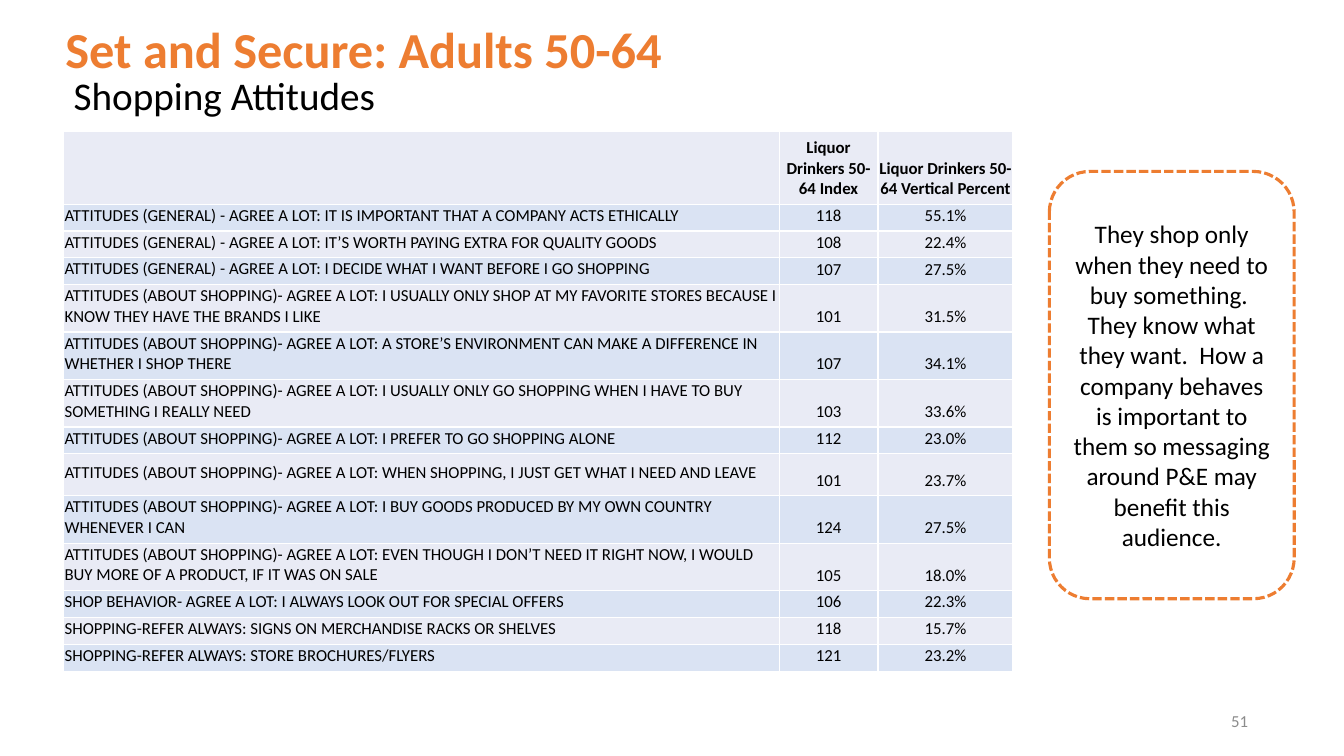
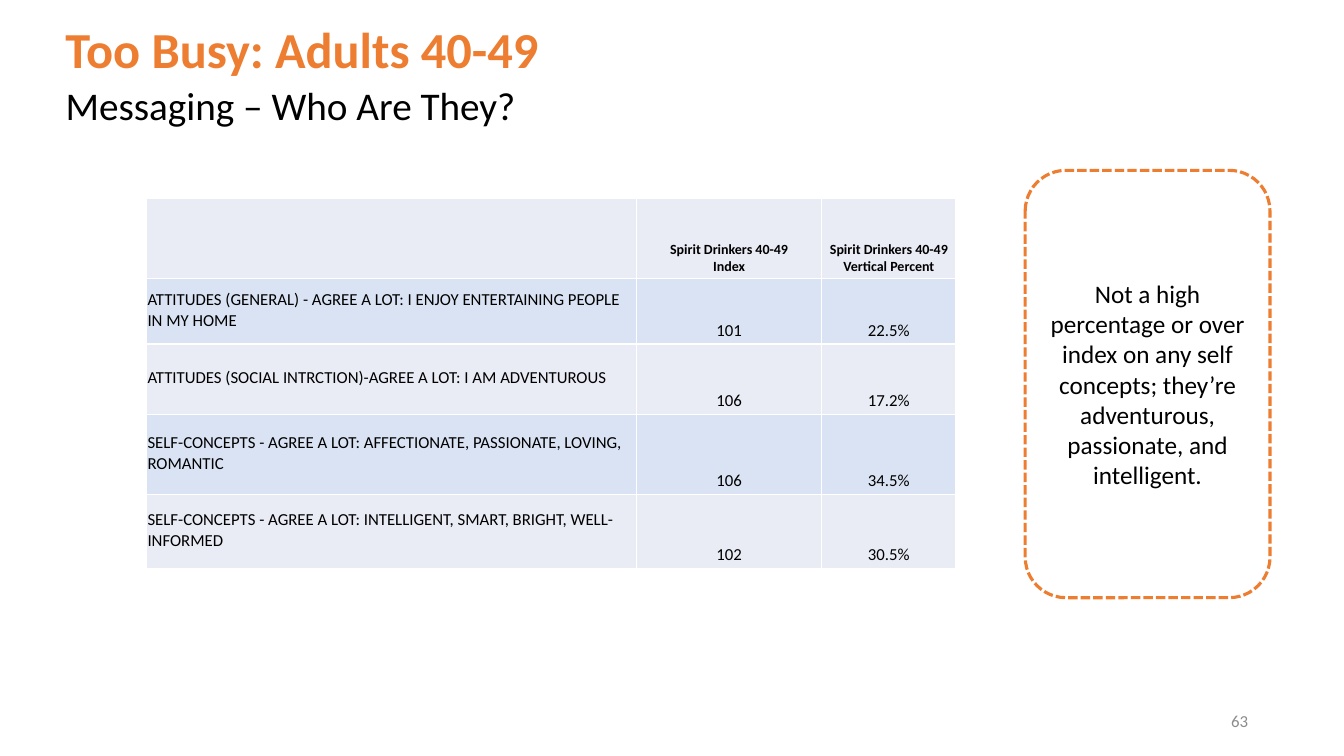
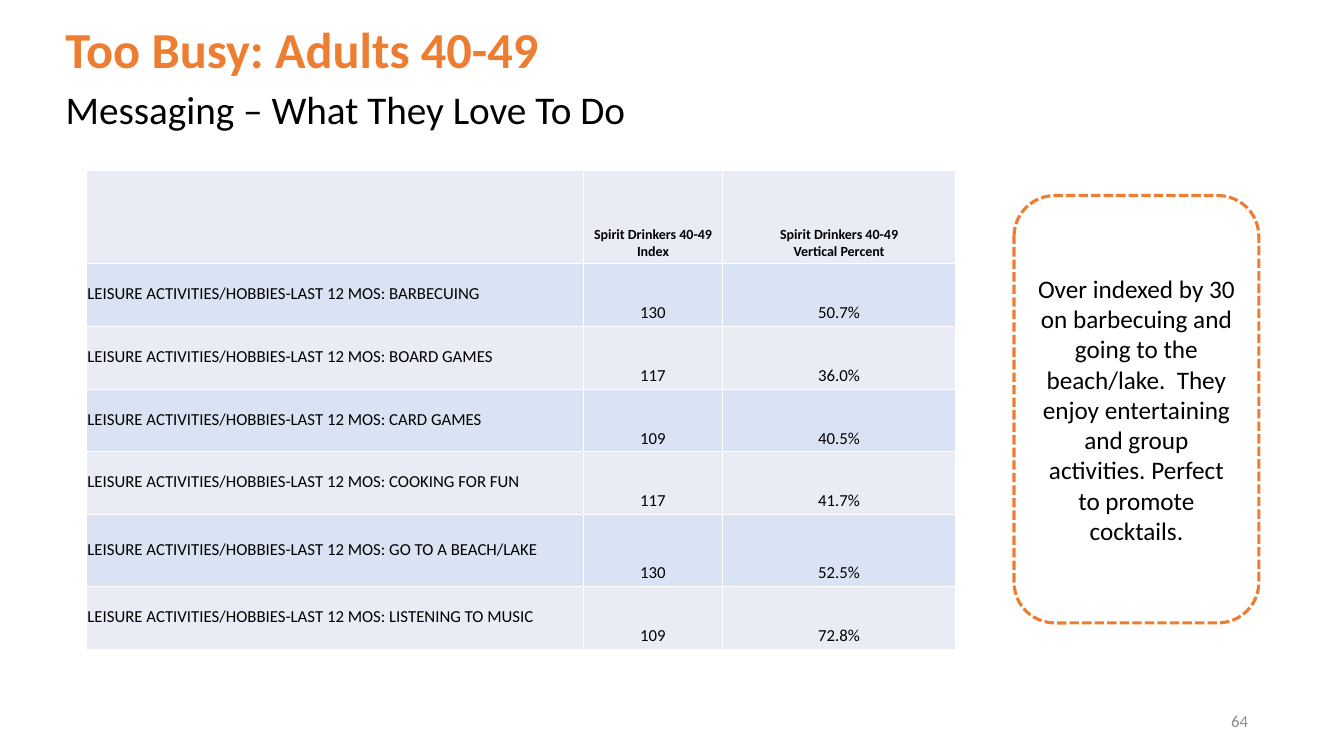
from dataclasses import dataclass

from lxml.etree import SubElement
from pptx import Presentation
from pptx.dml.color import RGBColor
from pptx.enum.dml import MSO_LINE
from pptx.enum.shapes import MSO_SHAPE
from pptx.enum.text import MSO_ANCHOR, MSO_AUTO_SIZE, PP_ALIGN
from pptx.oxml import parse_xml
from pptx.oxml.ns import nsdecls, qn
from pptx.util import Inches, Pt


@dataclass(frozen=True)
class Theme:
    font: str = "Calibri"
    accent: str = "ED7D31"
    text: str = "000000"
    muted: str = "8C8C8C"
    paper: str = "FFFFFF"
    bands: tuple = ("E9EBF5", "DAE3F3")
    segment_size: int = 36
    title_size: int = 28
    callout_size: int = 18
    body_size: int = 12


T = Theme()
WIDTH, HEIGHT = Inches(13.333), Inches(7.5)
MARGIN = 4.13
ONE_LINE, TALL_LINE, TWO_LINES = 3.55, 5.55, 6.28
LEISURE_ROW = 8.3

ATTITUDES = [
    ("ATTITUDES (GENERAL) - AGREE A LOT: IT IS IMPORTANT THAT A COMPANY ACTS ETHICALLY", "118", "55.1%", ONE_LINE),
    ("ATTITUDES (GENERAL) - AGREE A LOT: IT’S WORTH PAYING EXTRA FOR QUALITY GOODS", "108", "22.4%", ONE_LINE),
    ("ATTITUDES (GENERAL) - AGREE A LOT: I DECIDE WHAT I WANT BEFORE I GO SHOPPING", "107", "27.5%", ONE_LINE),
    ("ATTITUDES (ABOUT SHOPPING)- AGREE A LOT: I USUALLY ONLY SHOP AT MY FAVORITE STORES "
     "BECAUSE I KNOW THEY HAVE THE BRANDS I LIKE", "101", "31.5%", TWO_LINES),
    ("ATTITUDES (ABOUT SHOPPING)- AGREE A LOT: A STORE’S ENVIRONMENT CAN MAKE A DIFFERENCE "
     "IN WHETHER I SHOP THERE", "107", "34.1%", TWO_LINES),
    ("ATTITUDES (ABOUT SHOPPING)- AGREE A LOT: I USUALLY ONLY GO SHOPPING WHEN I HAVE TO BUY "
     "SOMETHING I REALLY NEED", "103", "33.6%", TWO_LINES),
    ("ATTITUDES (ABOUT SHOPPING)- AGREE A LOT: I PREFER TO GO SHOPPING ALONE", "112", "23.0%", ONE_LINE),
    ("ATTITUDES (ABOUT SHOPPING)- AGREE A LOT: WHEN SHOPPING, I JUST GET WHAT I NEED AND LEAVE",
     "101", "23.7%", TALL_LINE),
    ("ATTITUDES (ABOUT SHOPPING)- AGREE A LOT: I BUY GOODS PRODUCED BY MY OWN COUNTRY WHENEVER I CAN",
     "124", "27.5%", TWO_LINES),
    ("ATTITUDES (ABOUT SHOPPING)- AGREE A LOT: EVEN THOUGH I DON’T NEED IT RIGHT NOW, I WOULD "
     "BUY MORE OF A PRODUCT, IF IT WAS ON SALE", "105", "18.0%", TWO_LINES),
    ("SHOP BEHAVIOR- AGREE A LOT: I ALWAYS LOOK OUT FOR SPECIAL OFFERS", "106", "22.3%", ONE_LINE),
    ("SHOPPING-REFER ALWAYS: SIGNS ON MERCHANDISE RACKS OR SHELVES", "118", "15.7%", ONE_LINE),
    ("SHOPPING-REFER ALWAYS: STORE BROCHURES/FLYERS", "121", "23.2%", ONE_LINE),
]

SELF_CONCEPTS = [
    ("ATTITUDES (GENERAL) - AGREE A LOT: I ENJOY ENTERTAINING PEOPLE IN MY HOME", "101", "22.5%", 8.7),
    ("ATTITUDES (SOCIAL INTRCTION)-AGREE A LOT: I AM ADVENTUROUS", "106", "17.2%", 9.3),
    ("SELF-CONCEPTS - AGREE A LOT: AFFECTIONATE, PASSIONATE, LOVING, ROMANTIC", "106", "34.5%", 10.6),
    ("SELF-CONCEPTS - AGREE A LOT: INTELLIGENT, SMART, BRIGHT, WELL-INFORMED", "102", "30.5%", 9.75),
]

LEISURE = [
    (f"LEISURE ACTIVITIES/HOBBIES-LAST 12 MOS: {hobby}", index, percent, height)
    for hobby, index, percent, height in [
        ("BARBECUING", "130", "50.7%", LEISURE_ROW),
        ("BOARD GAMES", "117", "36.0%", LEISURE_ROW),
        ("CARD GAMES", "109", "40.5%", LEISURE_ROW),
        ("COOKING FOR FUN", "117", "41.7%", LEISURE_ROW),
        ("GO TO A BEACH/LAKE", "130", "52.5%", 9.5),
        ("LISTENING TO MUSIC", "109", "72.8%", LEISURE_ROW),
    ]
]

LIQUOR_HEADS = ("", "Liquor Drinkers 50-64 Index", "Liquor Drinkers 50-64 Vertical Percent")
SPIRIT_HEADS = ("", "Spirit Drinkers 40-49\nIndex", "Spirit Drinkers 40-49\nVertical Percent")


def across(percent):
    return int(WIDTH * percent / 100)


def down(percent):
    return int(HEIGHT * percent / 100)


def box(left, top, width, height):
    return across(left), down(top), across(width), down(height)


def write(tf, text, size, color=T.text, bold=False, align=PP_ALIGN.LEFT, spacing=None):
    tf.text = text
    for p in tf.paragraphs:
        p.alignment = align
        p.line_spacing = spacing
        p.font.name = T.font
        p.font.size = Pt(size)
        p.font.bold = bold
        p.font.color.rgb = RGBColor.from_string(color)


def add_label(s, place, text, size, anchor, **style):
    tf = s.shapes.add_textbox(*box(*place)).text_frame
    tf.word_wrap = True
    tf.vertical_anchor = anchor
    write(tf, text, size, **style)


def add_title(s, text, left, top):
    sp = s.shapes.title
    sp.left, sp.top, sp.width, sp.height = box(left, top, 86.25, 19.33)
    tf = sp.text_frame
    tf.auto_size = MSO_AUTO_SIZE.NONE
    tf.vertical_anchor = MSO_ANCHOR.MIDDLE
    write(tf, text, T.title_size, spacing=0.9)


def add_callout(s, text, left, top):
    sp = s.shapes.add_shape(MSO_SHAPE.ROUNDED_RECTANGLE, *box(left, top, 18.22, 56.53))
    sp.shadow.inherit = False
    sp.fill.solid()
    sp.fill.fore_color.rgb = RGBColor.from_string(T.paper)
    sp.line.color.rgb = RGBColor.from_string(T.accent)
    sp.line.width = Pt(2.25)
    sp.line.dash_style = MSO_LINE.SQUARE_DOT
    sp.text_frame.word_wrap = True
    sp.text_frame.vertical_anchor = MSO_ANCHOR.MIDDLE
    write(sp.text_frame, text, T.callout_size, align=PP_ALIGN.CENTER)


def set_borders(cell):
    tcPr = cell._tc.get_or_add_tcPr()
    for i, side in enumerate(("lnL", "lnR", "lnT", "lnB")):
        ln = parse_xml(f'<a:{side} {nsdecls("a")} w="{Pt(1)}"/>')
        fill = SubElement(ln, qn("a:solidFill"))
        SubElement(fill, qn("a:srgbClr"), val=T.paper)
        tcPr.insert(i, ln)


def fill_cell(cell, text, band, size, bold, is_label, bottom):
    cell.fill.solid()
    cell.fill.fore_color.rgb = RGBColor.from_string(band)
    set_borders(cell)
    cell.margin_left = cell.margin_right = cell.margin_top = Pt(0.75)
    cell.margin_bottom = Pt(bottom)
    cell.vertical_anchor = MSO_ANCHOR.MIDDLE if is_label else MSO_ANCHOR.BOTTOM
    align = PP_ALIGN.LEFT if is_label else PP_ALIGN.CENTER
    write(cell.text_frame, text, size, bold=bold, align=align)


def add_data_table(s, left, top, widths, heads, head_height, head_size, bottom, records):
    rows = [(*heads, head_height), *records]
    heights = [row[-1] for row in rows]
    place = box(left, top, sum(widths), sum(heights))
    table = s.shapes.add_table(len(rows), len(widths), *place).table
    table.first_row = table.horz_banding = False
    for column, width in zip(table.columns, widths):
        column.width = across(width)
    for i, (*texts, height) in enumerate(rows):
        table.rows[i].height = down(height)
        size = T.body_size if i else head_size
        for j, text in enumerate(texts):
            fill_cell(table.cell(i, j), text, T.bands[i % 2], size, i == 0, j == 0, bottom)


def add_segment_slide(prs, segment, number, title, table, callout):
    s = prs.slides.add_slide(prs.slide_layouts[5])
    add_title(s, *title)
    add_label(s, (71.1, 92.67, 22.5, 5.33), number, T.body_size, MSO_ANCHOR.MIDDLE,
              color=T.muted, align=PP_ALIGN.RIGHT)
    add_data_table(s, **table)
    add_label(s, (MARGIN, 1.87, 86.25, 9.33), segment, T.segment_size, MSO_ANCHOR.BOTTOM,
              color=T.accent, bold=True, spacing=0.9)
    add_callout(s, *callout)


def main():
    prs = Presentation()
    prs.slide_width, prs.slide_height = WIDTH, HEIGHT
    add_segment_slide(
        prs, "Set and Secure: Adults 50-64", "51",
        title=("Shopping Attitudes", 4.73, 3.33),
        table=dict(left=4.73, top=17.4, widths=(53.25, 7.35, 10.05), heads=LIQUOR_HEADS,
                   head_height=9.6, head_size=12, bottom=3.6, records=ATTITUDES),
        callout=("They shop only when they need to buy something.  They know what they want.  "
                 "How a company behaves is important to them so messaging around P&E may "
                 "benefit this audience.", 78.08, 22.67))
    add_segment_slide(
        prs, "Too Busy: Adults 40-49", "63",
        title=("Messaging – Who Are They?", MARGIN, 4.53),
        table=dict(left=10.9, top=26.27, widths=(36.45, 13.8, 9.98), heads=SPIRIT_HEADS,
                   head_height=10.55, head_size=10, bottom=2.4, records=SELF_CONCEPTS),
        callout=("Not a high percentage or over index on any self concepts; they’re "
                 "adventurous, passionate, and intelligent.", 76.28, 22.53))
    add_segment_slide(
        prs, "Too Busy: Adults 40-49", "64",
        title=("Messaging – What They Love To Do", MARGIN, 5.07),
        table=dict(left=6.43, top=22.55, widths=(36.98, 10.35, 17.35), heads=SPIRIT_HEADS,
                   head_height=12.33, head_size=10, bottom=2.4, records=LEISURE),
        callout=("Over indexed by 30 on barbecuing and going to the beach/lake.  They enjoy "
                 "entertaining and group activities. Perfect to promote cocktails.", 75.45, 25.87))
    prs.save("out.pptx")


if __name__ == "__main__":
    main()
